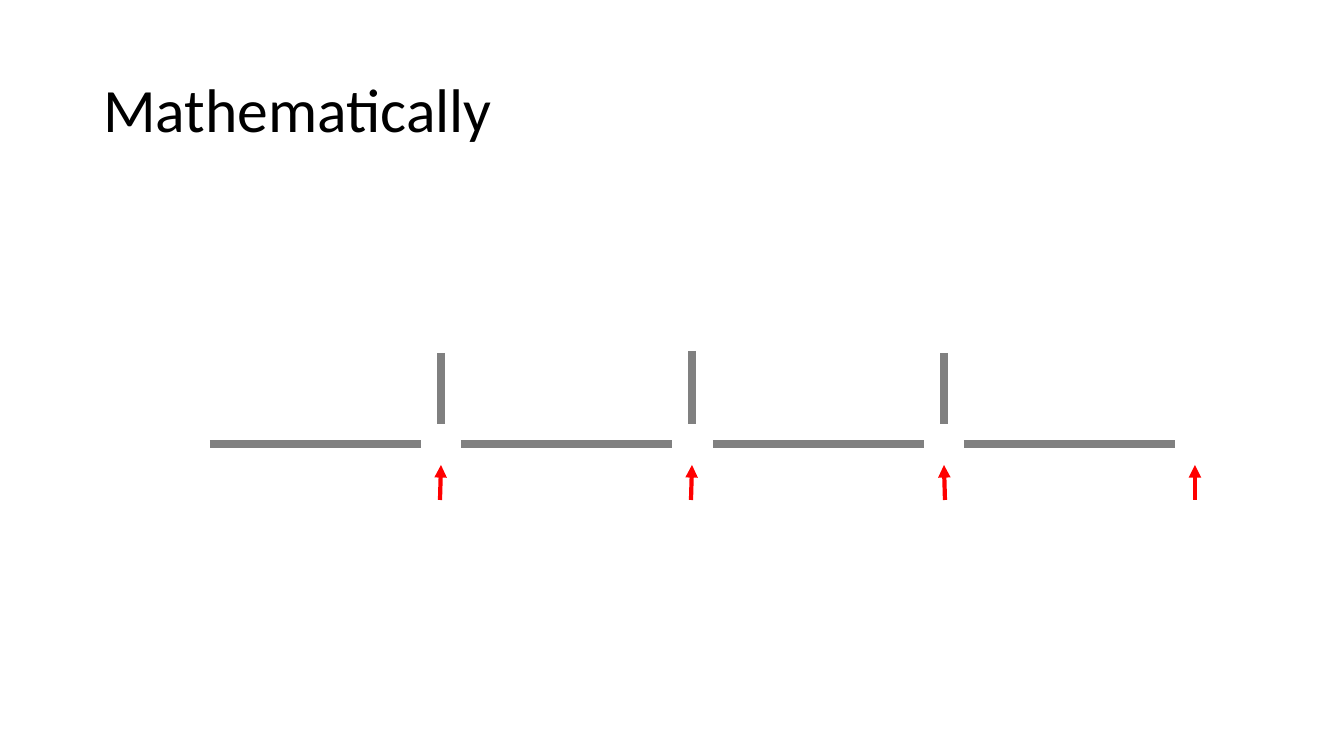
"""Build the "Mathematically" slide: a segmented line with ticks and red arrows."""
import pptx
import pptx.dml.color
import pptx.enum.shapes
import pptx.enum.text
import pptx.oxml.ns
import pptx.util
from lxml import etree

PX = 914400 / 100.8
GREY = "808080"
RED = "FF0000"


def color(value):
    return pptx.dml.color.RGBColor.from_string(value)


def add_line(x1, y1, x2, y2, value, width, arrow=False):
    ends = [round(v * PX) for v in (x1, y1, x2, y2)]
    sp = s.shapes.add_connector(pptx.enum.shapes.MSO_CONNECTOR.STRAIGHT, *ends)
    sp.line.color.rgb = color(value)
    sp.line.width = pptx.util.Pt(width)
    if arrow:
        etree.SubElement(sp.line._get_or_add_ln(), pptx.oxml.ns.qn("a:tailEnd"), type="triangle")
    etree.SubElement(sp._element.spPr, pptx.oxml.ns.qn("a:effectLst"))


prs = pptx.Presentation()
prs.slide_width = round(1344 * PX)
prs.slide_height = round(756 * PX)
s = prs.slides.add_slide(prs.slide_layouts[5])

title = s.shapes.title
title.left, title.top, title.width, title.height = [round(v * PX) for v in (93, 40, 1159, 146)]
tf = title.text_frame
tf.word_wrap = True
tf.auto_size = pptx.enum.text.MSO_AUTO_SIZE.NONE
tf.vertical_anchor = pptx.enum.text.MSO_ANCHOR.MIDDLE
p = tf.paragraphs[0]
p.alignment = pptx.enum.text.PP_ALIGN.LEFT
p.line_spacing = 0.9
r = p.add_run()
r.text = "Mathematically"
r.font.name = "Calibri"
r.font.size = pptx.util.Pt(44)
r.font.color.rgb = color("000000")

starts = [210 + 503 * i // 2 for i in range(4)]
gaps = [x + 231 for x in starts]

for x in starts:
    add_line(x, 444, x + 211, 444, GREY, 6)

for x, top in zip(gaps, (353, 351, 353)):
    add_line(x, top, x, 424, GREY, 6)

for x, lean in zip(gaps, (-1, -1, 1, 0)):
    add_line(x + lean, 500, x, 465, RED, 3, arrow=True)

prs.save("out.pptx")
